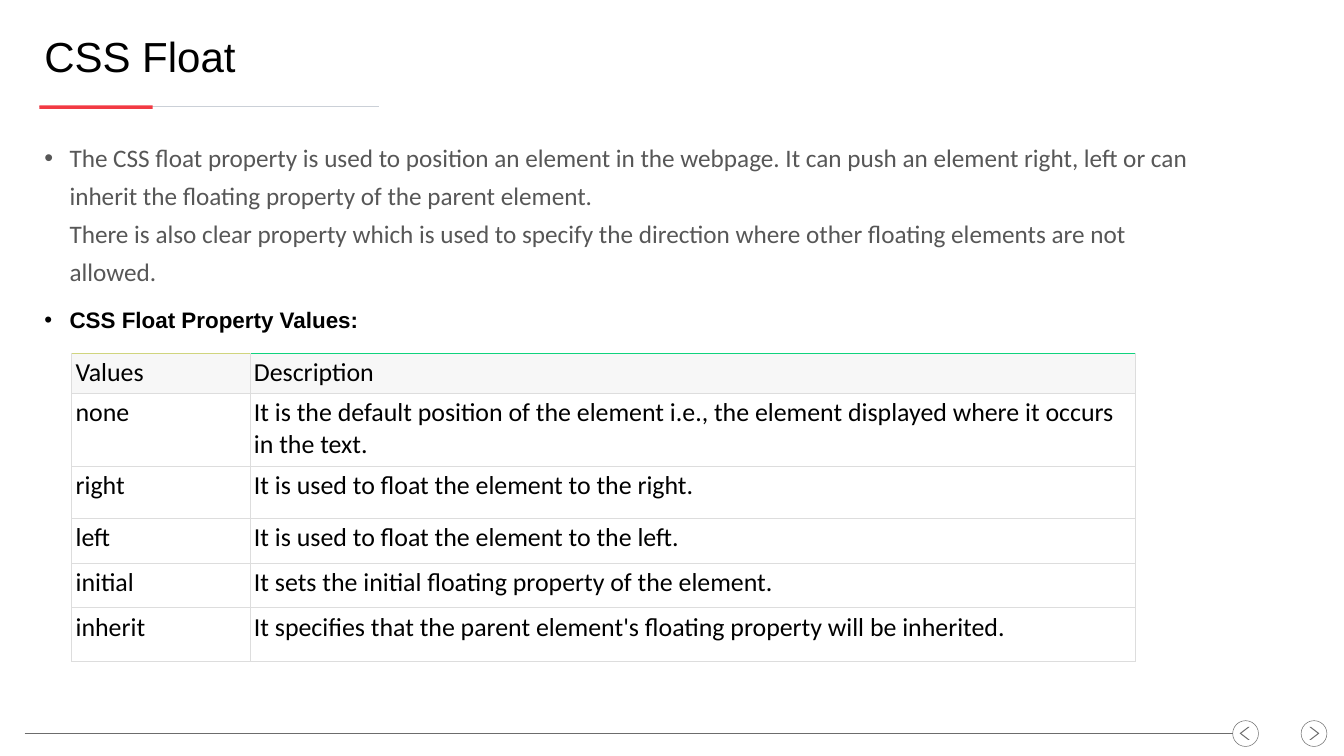
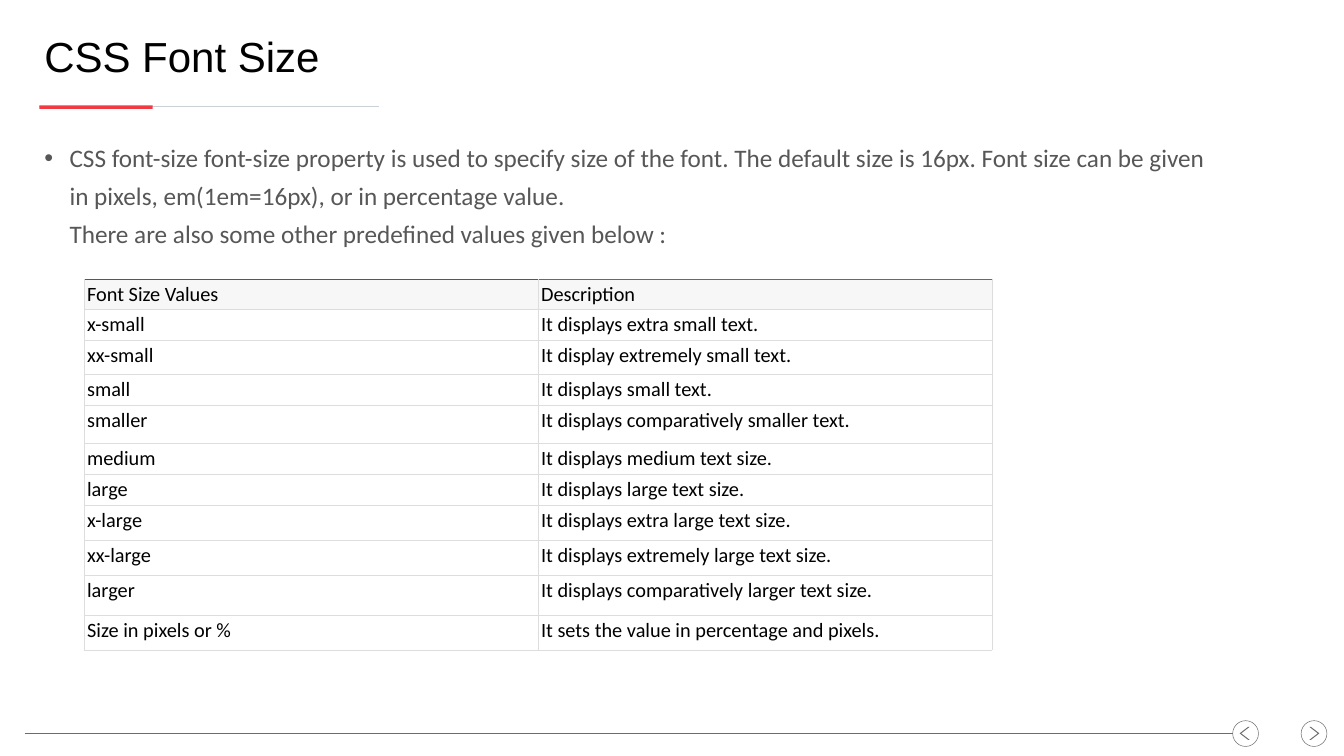
"""Build two slides on CSS float and CSS font size, each with a table of values."""
from dataclasses import dataclass

from lxml.etree import SubElement
from pptx import Presentation
from pptx.dml.color import RGBColor
from pptx.enum.shapes import MSO_CONNECTOR as Connector, MSO_SHAPE as Shape
from pptx.enum.text import MSO_ANCHOR as Anchor, MSO_AUTO_SIZE as AutoSize, PP_ALIGN as Align
from pptx.oxml.ns import qn
from pptx.util import Cm, Pt

BLACK, WHITE, BODY_GREY = "000000", "FFFFFF", "575757"
ACCENT, TITLE_RULE, FOOTER_GREY = "F23A43", "CBD0D7", "6C6C6C"
HEADER_FILL, CELL_BORDER = "F7F7F7", "DDDDDD"
LEFT = 1.98


@dataclass(frozen=True)
class TextStyle:
    font: str
    size: float
    colour: str
    bold: bool = False


TITLE = TextStyle("Arial", 60, BLACK)
BODY = TextStyle("Calibri", 36, BODY_GREY)
SUBHEAD = TextStyle("Arial", 32, BLACK, True)


@dataclass(frozen=True)
class Bullet:
    text: str
    style: TextStyle = BODY


@dataclass(frozen=True)
class ValueTable:
    left: float
    top: float
    columns: tuple[float, ...]
    heights: tuple[float, ...]
    margin: float
    size: float
    top_borders: tuple[str, ...]
    rows: tuple[tuple[str, str], ...]


@dataclass(frozen=True)
class Topic:
    title: str
    bullets: tuple[Bullet, ...]
    table: ValueTable


@dataclass(frozen=True)
class NavButton:
    left: float
    arrow_left: float
    flipped: bool


NAV_BUTTONS = (NavButton(65.58, 65.99, False), NavButton(62.13, 62.48, True))

TOPICS = (
    Topic(
        "CSS Float",
        (
            Bullet("The CSS float property is used to position an element in the webpage. "
                   "It can push an element right, left or can inherit the floating property "
                   "of the parent element.\vThere is also clear property which is used to "
                   "specify the direction where other floating elements are not allowed."),
            Bullet("CSS Float Property Values:", SUBHEAD),
        ),
        ValueTable(
            3.61, 17.81, (8.99, 44.63), (1.96, 3.68, 2.62, 2.26, 2.26, 2.69), 0.2, 37,
            ("D0D57E", "10D37E"),
            (
                ("Values", "Description"),
                ("none", "It is the default position of the element i.e., the element "
                         "displayed where it occurs in the text."),
                ("right", "It is used to float the element to the right."),
                ("left", "It is used to float the element to the left."),
                ("initial", "It sets the initial floating property of the element."),
                ("inherit", "It specifies that the parent element's floating property "
                            "will be inherited."),
            ),
        ),
    ),
    Topic(
        "CSS Font Size",
        (
            Bullet("CSS font-size font-size property is used to specify size of the font. "
                   "The default size is 16px. Font size can be given in pixels, "
                   "em(1em=16px), or in percentage value.\vThere are also some other "
                   "predefined values given below :"),
        ),
        ValueTable(
            4.24, 14.05, (22.88, 22.88),
            (1.55, 1.55, 1.7, 1.55, 1.96, 1.55, 1.55, 1.78, 1.75, 2.01, 1.75), 0.15, 29,
            ("605063", "A04E63"),
            (
                ("Font Size Values", "Description"),
                ("x-small", "It displays extra small text."),
                ("xx-small", "It display extremely small text."),
                ("small", "It displays small text."),
                ("smaller", "It displays comparatively smaller text."),
                ("medium", "It displays medium text size."),
                ("large", "It displays large text size."),
                ("x-large", "It displays extra large text size."),
                ("xx-large", "It displays extremely large text size."),
                ("larger", "It displays comparatively larger text size."),
                ("Size in pixels or %", "It sets the value in percentage and pixels."),
            ),
        ),
    ),
)


def rgb(colour: str) -> RGBColor:
    return RGBColor.from_string(colour)


def format_runs(para, style: TextStyle) -> None:
    for span in para.runs:
        span.font.name = style.font
        span.font.size = Pt(style.size)
        span.font.bold = style.bold
        span.font.color.rgb = rgb(style.colour)


def place(box, left: float, top: float, width: float, height: float) -> None:
    box.left, box.top, box.width, box.height = Cm(left), Cm(top), Cm(width), Cm(height)


def add_rule(page, start: float, end: float, y: float, colour: str, width: float) -> None:
    rule = page.shapes.add_connector(Connector.STRAIGHT, Cm(start), Cm(y), Cm(end), Cm(y))
    rule.line.color.rgb = rgb(colour)
    rule.line.width = Pt(width)
    SubElement(rule.element.spPr, qn("a:effectLst"))


def add_shape(page, kind: Shape, left: float, top: float, width: float, height: float,
              fill: str | None = None, line: str | None = None):
    shape = page.shapes.add_shape(kind, Cm(left), Cm(top), Cm(width), Cm(height))
    shape.shadow.inherit = False
    if fill:
        shape.fill.solid()
        shape.fill.fore_color.rgb = rgb(fill)
    else:
        shape.fill.background()
    if line:
        shape.line.color.rgb = rgb(line)
        shape.line.width = Pt(0.75)
    else:
        shape.line.fill.background()
    return shape


def add_frame(page) -> None:
    add_rule(page, LEFT, 19.1, 5.38, TITLE_RULE, 1.5)
    add_shape(page, Shape.RECTANGLE, LEFT, 5.31, 5.72, 0.18, fill=ACCENT)
    for button in NAV_BUTTONS:
        add_shape(page, Shape.OVAL, button.left, 36.32, 1.3, 1.3, line=FOOTER_GREY)
        arrow = add_shape(page, Shape.CHEVRON, button.arrow_left, 36.63, 0.51, 0.66,
                          fill=FOOTER_GREY)
        arrow.adjustments[0] = 0.84
        if button.flipped:
            arrow.element.spPr.xfrm.set("flipH", "1")
    add_rule(page, 1.24, 62.13, 36.98, FOOTER_GREY, 0.75)


def fill_title(box, text: str) -> None:
    place(box, LEFT, 1.5, 63.63, 2.64)
    frame = box.text_frame
    frame.text = text
    frame.auto_size = AutoSize.NONE
    frame.vertical_anchor = Anchor.MIDDLE
    para = frame.paragraphs[0]
    para.alignment = Align.LEFT
    format_runs(para, TITLE)


def fill_body(box, bullets: tuple[Bullet, ...]) -> None:
    place(box, LEFT, 6.68, 59.26, 27.64)
    frame = box.text_frame
    frame.auto_size = AutoSize.NONE
    for index, bullet in enumerate(bullets):
        para = frame.add_paragraph() if index else frame.paragraphs[0]
        para.text = bullet.text
        properties = para._p.get_or_add_pPr()
        properties.set("marL", str(Cm(1.27)))
        properties.set("indent", str(-Cm(1.27)))
        SubElement(properties, qn("a:buFont"), typeface="Arial")
        SubElement(properties, qn("a:buChar"), char="•")
        para.line_spacing = 1.25
        para.space_before = Pt(7 if index else 0)
        para.space_after = Pt(12)
        format_runs(para, bullet.style)


def set_borders(cell, top: str) -> None:
    properties = cell._tc.get_or_add_tcPr()
    for side in "LRTB":
        border = SubElement(properties, qn(f"a:ln{side}"), w=str(Pt(0.75)))
        fill = SubElement(border, qn("a:solidFill"))
        SubElement(fill, qn("a:srgbClr"), val=top if side == "T" else CELL_BORDER)


def add_value_table(page, values: ValueTable) -> None:
    table = page.shapes.add_table(
        len(values.rows), len(values.columns), Cm(values.left), Cm(values.top),
        Cm(sum(values.columns)), Cm(sum(values.heights))).table
    table.horz_banding = table.first_row = False
    for column, width in zip(table.columns, values.columns):
        column.width = Cm(width)
    style = TextStyle("Calibri", values.size, BLACK)
    for r, (height, texts) in enumerate(zip(values.heights, values.rows)):
        table.rows[r].height = Cm(height)
        for c, text in enumerate(texts):
            cell = table.cell(r, c)
            cell.text = text
            format_runs(cell.text_frame.paragraphs[0], style)
            cell.margin_left = cell.margin_right = Cm(values.margin)
            cell.margin_top = cell.margin_bottom = Cm(values.margin)
            cell.vertical_anchor = Anchor.TOP if r else Anchor.BOTTOM
            set_borders(cell, CELL_BORDER if r else values.top_borders[c])
            cell.fill.solid()
            cell.fill.fore_color.rgb = rgb(WHITE if r else HEADER_FILL)


def main() -> None:
    deck = Presentation()
    deck.slide_width, deck.slide_height = Cm(67.74), Cm(38.1)
    for topic in TOPICS:
        page = deck.slides.add_slide(deck.slide_layouts[1])
        add_frame(page)
        fill_title(page.shapes.title, topic.title)
        fill_body(page.placeholders[1], topic.bullets)
        add_value_table(page, topic.table)
    deck.save("out.pptx")


if __name__ == "__main__":
    main()
